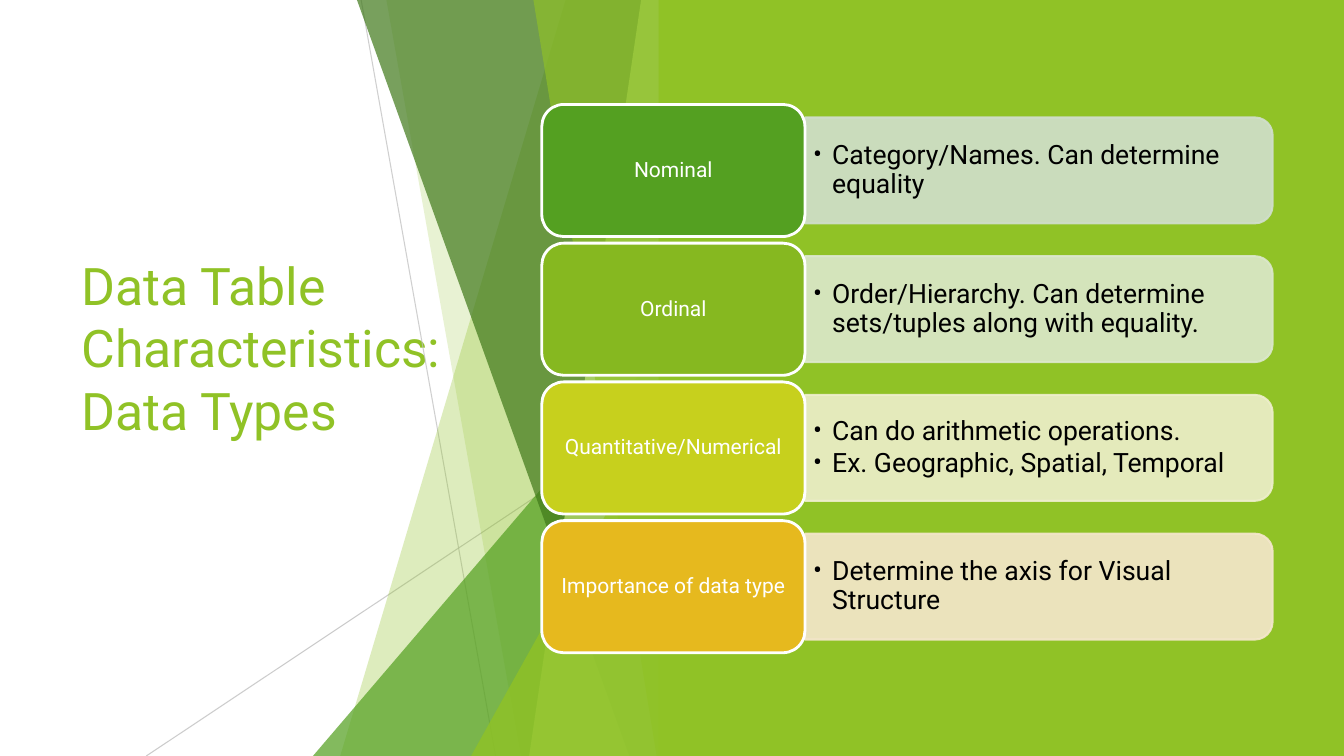
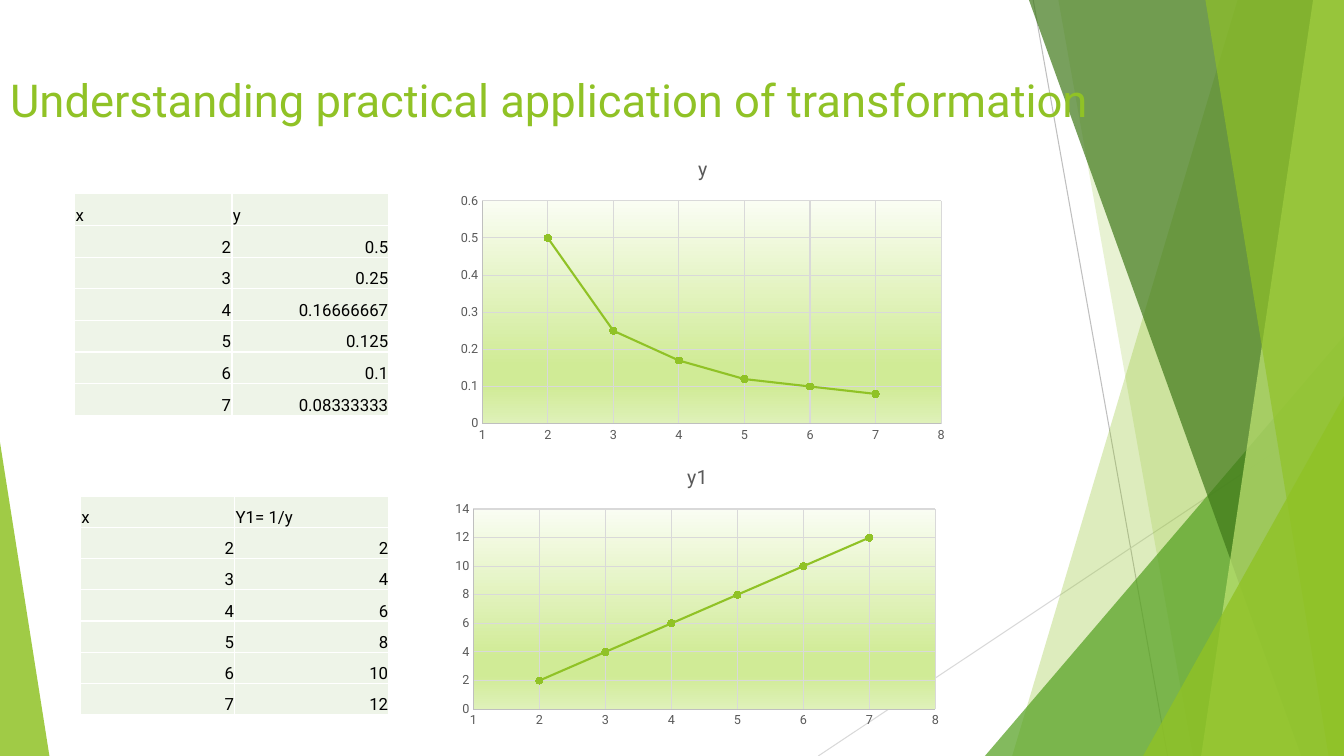
from lxml.etree import SubElement
from pptx import Presentation
from pptx.chart.data import XyChartData
from pptx.dml.color import RGBColor
from pptx.enum.chart import XL_CHART_TYPE, XL_MARKER_STYLE, XL_TICK_MARK
from pptx.enum.shapes import MSO_CONNECTOR, MSO_SHAPE
from pptx.enum.text import MSO_ANCHOR, MSO_AUTO_SIZE, PP_ALIGN
from pptx.oxml import parse_xml
from pptx.oxml.ns import nsdecls, qn
from pptx.util import Pt

FONT = "Roboto"
WIDE, HIGH = 960, 540
HUES = {
    "lime": "90C226", "green": "54A021", "dark": "3F7819", "pale": "C0E474",
    "leaf": "86B820", "olive": "C7D01D", "gold": "E6B91E",
    "mint": "D1DFCD", "sage": "DCE8CC", "cream": "EEEFCC", "sand": "F5E7CD",
    "cell": "EEF4E8", "white": "FFFFFF", "black": "000000",
    "slate": "595959", "gray": "BFBFBF", "light": "D9D9D9",
    "mist": "FAFDF3", "lawn": "D0EB96", "dew": "DFF1B9",
}
BANDS = [
    (884, 723, "lime", 30),
    (756, 852, "lime", 20),
    (703.5, 240, "green", 72),
    (735, 929.5, "dark", 70),
    (938, 858, "pale", 70),
    (861, 949, "lime", 65),
    (816.5, 283, "lime", 80),
]
PEAKS = (2, 6)
FADE = [(0, "mist"), (74, "lawn"), (83, "lawn"), (100, "dew")]


def tint(name):
    return RGBColor.from_string(HUES[name])


def text(frame, lines, size, hue, align=PP_ALIGN.LEFT, anchor=None,
         inset=(7.2, 3.6), lead=None, after=None, bullet=False):
    frame.text = "\n".join(lines)
    if anchor is not None:
        frame.auto_size = MSO_AUTO_SIZE.NONE
        frame.word_wrap = True
        frame.vertical_anchor = anchor
        frame.margin_left = frame.margin_right = Pt(inset[0])
        frame.margin_top = frame.margin_bottom = Pt(inset[1])
    for para in frame.paragraphs:
        if bullet:
            props = para._p.get_or_add_pPr()
            props.set("marL", str(Pt(13.6)))
            props.set("indent", str(-Pt(13.6)))
            SubElement(props, qn("a:buFont"), typeface=FONT)
            SubElement(props, qn("a:buChar"), char="•")
        para.alignment = align
        if lead:
            para.line_spacing = lead
        if after:
            para.space_after = Pt(after)
        for run in para.runs:
            run.font.name = FONT
            run.font.size = Pt(size)
            run.font.bold = False
            run.font.color.rgb = tint(hue)


def clear(shape, alpha):
    if alpha < 100:
        for node in shape.element.iter(qn("a:srgbClr")):
            SubElement(node, qn("a:alpha"), val=str(alpha * 1000))


class Deck:
    def __init__(self):
        self.show = Presentation()
        self.show.slide_width, self.show.slide_height = Pt(WIDE), Pt(HIGH)

    def start(self):
        self.slide = self.show.slides.add_slide(self.show.slide_layouts[5])
        self.shapes = self.slide.shapes

    def title(self, words, box, size):
        head = self.shapes.title
        head.left, head.top, head.width, head.height = map(Pt, box)
        text(head.text_frame, [words], size, "lime", anchor=MSO_ANCHOR.MIDDLE)
        self.shapes.element.append(head.element)

    def paint(self, shape, fill, line=None, width=1, alpha=100):
        shape.shadow.inherit = False
        shape.fill.solid()
        shape.fill.fore_color.rgb = tint(fill)
        if line:
            shape.line.color.rgb = tint(line)
            shape.line.width = Pt(width)
        else:
            shape.line.fill.background()
        clear(shape, alpha)
        return shape

    def form(self, kind, box, fill, **style):
        return self.paint(self.shapes.add_shape(kind, *map(Pt, box)), fill, **style)

    def peak(self, box, tip, fill, alpha):
        shape = self.form(MSO_SHAPE.ISOSCELES_TRIANGLE, box, fill, alpha=alpha)
        shape.adjustments[0] = tip

    def band(self, points, fill, alpha):
        spots = [(Pt(x), Pt(y)) for x, y in points]
        pen = self.shapes.build_freeform(*spots[0], scale=1.0)
        pen.add_line_segments(spots[1:], close=True)
        self.paint(pen.convert_to_shape(), fill, alpha=alpha)

    def line(self, ends, hue, alpha):
        rule = self.shapes.add_connector(MSO_CONNECTOR.STRAIGHT, *map(Pt, ends))
        rule.line.color.rgb = tint(hue)
        rule.line.width = Pt(0.75)
        clear(rule, alpha)
        SubElement(rule.element.spPr, qn("a:effectLst"))

    def facets(self, edge=WIDE, hue="light", alphas=(100, 100)):
        move = edge - WIDE
        self.line((738 + move, 0, 834 + move, HIGH), "gray", alphas[0])
        self.line((edge, 290, 584.5 + move, HIGH), hue, alphas[1])
        for i, (first, second, fill, alpha) in enumerate(BANDS):
            left = first + move
            if i in PEAKS:
                self.peak((left, second, edge - left, HIGH - second), 1, fill, alpha)
            else:
                self.band([(left, 0), (edge, 0), (edge, HIGH), (second + move, HIGH)], fill, alpha)

    def pill(self, box, fill, lines):
        left, top, width, height = box
        turned = (left + (width - height) / 2, top + (height - width) / 2, height, width)
        shape = self.form(MSO_SHAPE.ROUND_2_SAME_RECTANGLE, turned, fill,
                          line=fill, width=1.5, alpha=90)
        shape.rotation = 90
        note = self.shapes.add_textbox(*map(Pt, (left, top + 4, width - 3.5, height - 8)))
        text(note.text_frame, lines, 19, "black", anchor=MSO_ANCHOR.MIDDLE,
             inset=(5.8, 2.9), lead=0.9, after=2.6, bullet=True)

    def label(self, box, fill, words):
        shape = self.form(MSO_SHAPE.ROUNDED_RECTANGLE, box, fill, line="white", width=2)
        text(shape.text_frame, [words], 15, "white", align=PP_ALIGN.CENTER,
             anchor=MSO_ANCHOR.MIDDLE, inset=(9, 6), lead=0.9)

    def table(self, box, rows):
        grid = self.shapes.add_table(len(rows), len(rows[0]), *map(Pt, box)).table
        grid.first_row = grid.horz_banding = False
        for r, row in enumerate(rows):
            grid.rows[r].height = Pt(box[3] / len(rows))
            for c, words in enumerate(row):
                self.cell(grid.cell(r, c), words, PP_ALIGN.RIGHT if r else PP_ALIGN.LEFT)

    def cell(self, cell, words, align):
        props = cell._tc.get_or_add_tcPr()
        for side in "LRTB":
            props.append(parse_xml(
                f'<a:ln{side} {nsdecls("a")} w="{Pt(1)}"><a:solidFill>'
                f'<a:srgbClr val="{HUES["white"]}"/></a:solidFill></a:ln{side}>'))
        cell.fill.solid()
        cell.fill.fore_color.rgb = tint("cell")
        cell.vertical_anchor = MSO_ANCHOR.BOTTOM
        cell.margin_left = cell.margin_right = cell.margin_top = Pt(0.6)
        cell.margin_bottom = 0
        text(cell.text_frame, [words], 12, "black", align=align)

    def axis(self, axis, low, high, step):
        axis.minimum_scale, axis.maximum_scale, axis.major_unit = low, high, step
        axis.major_tick_mark = axis.minor_tick_mark = XL_TICK_MARK.NONE
        axis.has_major_gridlines = True
        axis.tick_labels.number_format = "General"
        axis.tick_labels.number_format_is_linked = False
        font = axis.tick_labels.font
        font.name, font.size = FONT, Pt(9)
        font.color.rgb = tint("slate")
        for line, hue in ((axis.format.line, "gray"),
                          (axis.major_gridlines.format.line, "light")):
            line.color.rgb = tint(hue)
            line.width = Pt(0.75)

    def chart(self, box, name, rows, top, step, plot):
        data = XyChartData()
        points = data.add_series(name)
        for x, y in rows[1:]:
            points.add_data_point(int(x), round(float(y), 2))
        chart = self.shapes.add_chart(
            XL_CHART_TYPE.XY_SCATTER_LINES, *map(Pt, box), data).chart
        chart.font.name, chart.font.size = FONT, Pt(10)
        chart.has_legend = False
        chart.has_title = True
        chart.chart_title.include_in_layout = False
        text(chart.chart_title.text_frame, [name], 14, "slate", align=PP_ALIGN.CENTER)
        self.axis(chart.category_axis, 1, 8, 1)
        self.axis(chart.value_axis, 0, top, step)
        chart.plots[0].vary_by_categories = False
        line = chart.plots[0].series[0]
        line.smooth = False
        line.format.line.color.rgb = tint("lime")
        line.format.line.width = Pt(1.5)
        line.marker.style, line.marker.size = XL_MARKER_STYLE.CIRCLE, 5
        line.marker.format.fill.solid()
        line.marker.format.fill.fore_color.rgb = tint("lime")
        line.marker.format.line.color.rgb = tint("lime")
        self.back(chart, box, plot)

    def back(self, chart, box, plot):
        area = chart.element.find(".//" + qn("c:plotArea"))
        for old in area.findall(qn("c:layout")):
            area.remove(old)
        left, top, width, height = box
        parts = {"x": (plot[0] - left) / width, "y": (plot[1] - top) / height,
                 "w": plot[2] / width, "h": plot[3] / height}
        sizes = "".join(f'<c:{key} val="{val}"/>' for key, val in parts.items())
        area.insert(0, parse_xml(
            f'<c:layout {nsdecls("c")}><c:manualLayout><c:layoutTarget val="inner"/>'
            f'<c:xMode val="edge"/><c:yMode val="edge"/>{sizes}</c:manualLayout></c:layout>'))
        stops = "".join(f'<a:gs pos="{pos * 1000}"><a:srgbClr val="{HUES[hue]}"/></a:gs>'
                        for pos, hue in FADE)
        area.append(parse_xml(
            f'<c:spPr {nsdecls("c", "a")}><a:gradFill><a:gsLst>{stops}</a:gsLst>'
            f'<a:lin ang="5400000" scaled="0"/></a:gradFill></c:spPr>'))


def types(deck):
    deck.start()
    deck.title("Data Table Characteristics: Data Types", (51, 87, 279.5, 322), 37)
    deck.facets(480, "gray", (75, 80))
    deck.form(MSO_SHAPE.RECTANGLE, (470.5, 0, WIDE - 470.5, HIGH), "lime")
    rows = [
        ("Nominal", "green", "mint", ["Category/Names. Can determine equality"]),
        ("Ordinal", "leaf", "sage",
         ["Order/Hierarchy. Can determine sets/tuples along with equality."]),
        ("Quantitative/Numerical", "olive", "cream",
         ["Can do arithmetic operations.", "Ex. Geographic, Spatial, Temporal"]),
        ("Importance of data type", "gold", "sand",
         ["Determine the axis for Visual Structure"]),
    ]
    for i, (name, fill, soft, lines) in enumerate(rows):
        top = 74.6 + 99.1 * i
        deck.pill((575, top + 9.3, 334, 75.6), soft, lines)
        deck.label((387, top, 188, 94.4), fill, name)


def graphs(deck):
    deck.start()
    deck.facets()
    deck.peak((0, 316, 35.3, 224), 0, "lime", 85)
    deck.title("Understanding practical application of transformation",
               (0, 45.2, 878, 52), 32.4)
    curve = [("x", "y"), ("2", "0.5"), ("3", "0.25"), ("4", "0.16666667"),
             ("5", "0.125"), ("6", "0.1"), ("7", "0.08333333")]
    ramp = [("x", "Y1= 1/y")] + [(str(x), str(2 * x - 2)) for x in range(2, 8)]
    deck.table((53.5, 138.5, 224.4, 158.2), curve)
    deck.chart((322, 100, 360, 220), "y", curve, 0.6, 0.1, (344.5, 143.5, 327.8, 159.2))
    deck.table((57.6, 354.5, 220.3, 156.1), ramp)
    deck.chart((318.2, 320.5, 360, 203.8), "y1", ramp, 14, 2, (338.2, 363.6, 330, 143))


def main():
    deck = Deck()
    types(deck)
    graphs(deck)
    deck.show.save("out.pptx")


if __name__ == "__main__":
    main()
